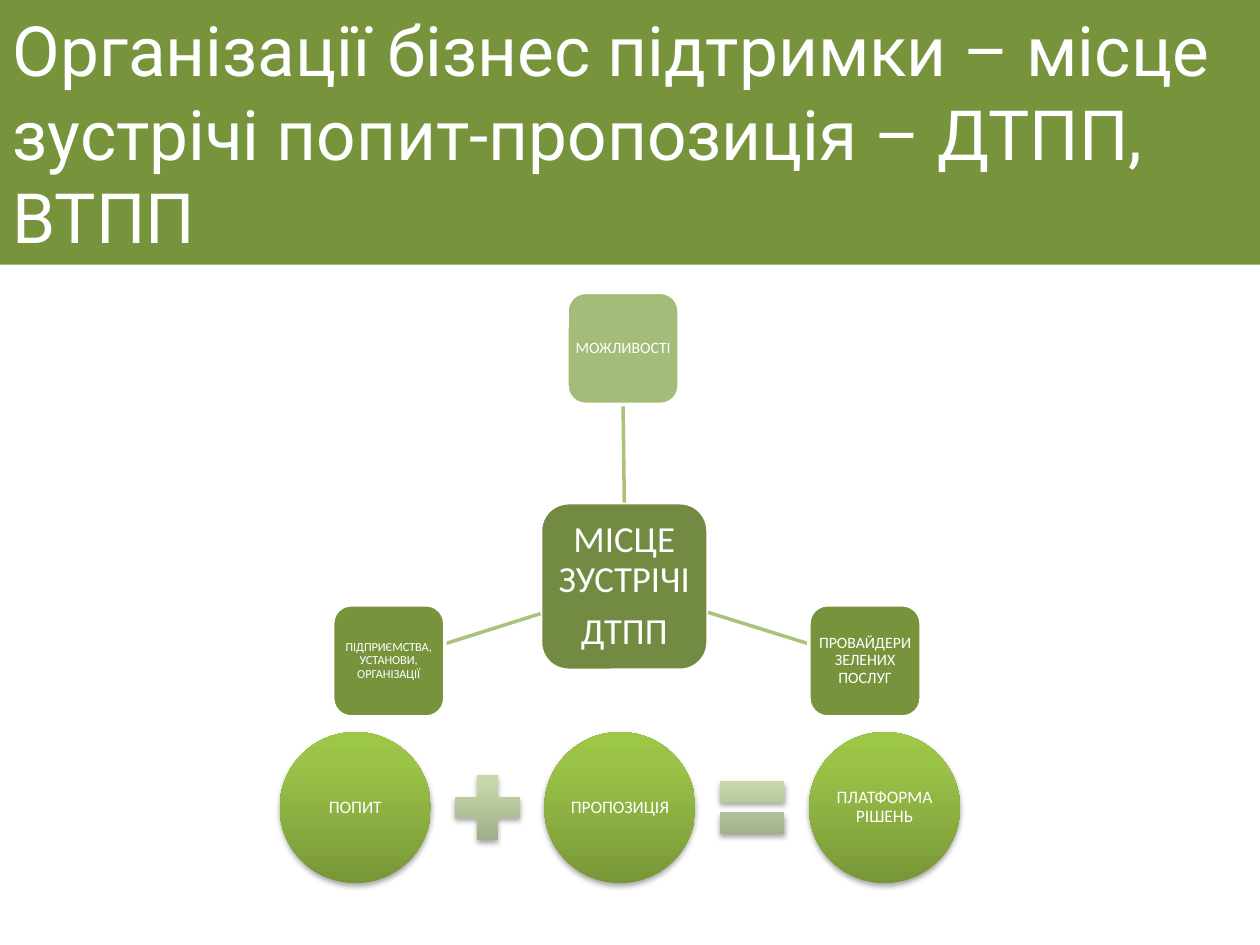
"""Build the slide on business support organisations as a meeting place of demand and supply."""
from copy import deepcopy

from lxml import etree
from pptx import Presentation
from pptx.dml.color import RGBColor
from pptx.enum import shapes, text
from pptx.oxml.ns import qn
from pptx.util import Inches, Pt

WHITE = RGBColor(0xFF, 0xFF, 0xFF)
GREEN = RGBColor(0x77, 0x93, 0x3C)
DARK = RGBColor(0x73, 0x8A, 0x42)
LIGHT = RGBColor(0xA4, 0xBC, 0x79)
LINK = RGBColor(0xA9, 0xC3, 0x79)
BRIGHT = (RGBColor(0x77, 0x97, 0x37), RGBColor(0x9B, 0xC3, 0x48), RGBColor(0x9D, 0xC7, 0x46))
PALE = (RGBColor(0x98, 0xA6, 0x83), RGBColor(0xC6, 0xD8, 0xAA), RGBColor(0xC7, 0xDA, 0xAA))


def write(sp, content, size, font="Calibri", align=text.PP_ALIGN.CENTER, inset=0.02, spacing=0.9):
    tf = sp.text_frame
    tf.text = content
    tf.word_wrap = True
    tf.auto_size = text.MSO_AUTO_SIZE.NONE
    tf.vertical_anchor = text.MSO_ANCHOR.MIDDLE
    tf.margin_left = tf.margin_right = Inches(inset)
    tf.margin_top = tf.margin_bottom = Inches(inset)
    for p in tf.paragraphs:
        p.alignment = align
        p.line_spacing = spacing
        p.space_after = Pt(round(size * 0.35))
        f = p.runs[0].font
        f.name, f.size, f.color.rgb = font, Pt(size), WHITE


def add_glossy(s, kind, left, top, size, colors):
    sp = s.shapes.add_shape(kind, Inches(left), Inches(top), Inches(size), Inches(size))
    sp.line.fill.background()
    sp.fill.gradient()
    sp.fill.gradient_angle = 90
    gs = sp._element.spPr.find(".//" + qn("a:gs"))
    gs.addnext(deepcopy(gs))
    for stop, position, color in zip(sp.fill.gradient_stops, (0, 0.8, 1), colors):
        stop.position = position
        stop.color.rgb = color
    sp.shadow.inherit = False
    effects = sp._element.spPr.find(qn("a:effectLst"))
    shadow = etree.SubElement(effects, qn("a:outerShdw"), blurRad="40000", dist="23000",
                              dir="5400000", rotWithShape="0")
    black = etree.SubElement(shadow, qn("a:srgbClr"), val="000000")
    etree.SubElement(black, qn("a:alpha"), val="35000")
    return sp


prs = Presentation()
prs.slide_width, prs.slide_height = Inches(10), Inches(7.5)
s = prs.slides.add_slide(prs.slide_layouts[5])

title = s.shapes.title
title.left, title.top, title.width, title.height = 0, 0, Inches(10), Inches(2.1)
title.fill.solid()
title.fill.fore_color.rgb = GREEN
write(title, "Організації бізнес підтримки – місце зустрічі попит-пропозиція – ДТПП, ВТПП",
      39.6, font="Roboto", align=text.PP_ALIGN.LEFT, inset=0.1, spacing=1.0)

boxes = []
for content, left, top, size, color, points, link in [
    ("МІСЦЕ ЗУСТРІЧІ\nДТПП", 4.29, 3.99, 1.33, DARK, 21, None),
    ("МОЖЛИВОСТІ", 4.5, 2.32, 0.89, LIGHT, 9, (4.95, 3.99, 4.95, 3.21)),
    ("ПРОВАЙДЕРИ ЗЕЛЕНИХ ПОСЛУГ", 6.42, 4.8, 0.89, GREEN, 9, (5.62, 4.86, 6.42, 5.11)),
    ("ПІДПРИЄМСТВА, УСТАНОВИ, ОРГАНІЗАЦІЇ", 2.64, 4.8, 0.89, GREEN, 7, (4.29, 4.87, 3.53, 5.11)),
]:
    if link:
        line = s.shapes.add_connector(shapes.MSO_CONNECTOR.STRAIGHT, *map(Inches, link))
        line.line.color.rgb = LINK
        line.line.width = Pt(2)
        etree.SubElement(line._element.spPr, qn("a:effectLst"))
        if len(boxes) == 1:
            vertical = line
    sp = s.shapes.add_shape(shapes.MSO_SHAPE.ROUNDED_RECTANGLE,
                            Inches(left), Inches(top), Inches(size), Inches(size))
    sp.fill.solid()
    sp.fill.fore_color.rgb = color
    sp.line.color.rgb = WHITE
    sp.line.width = Pt(2)
    sp.shadow.inherit = False
    write(sp, content, points, inset=0.06 if link is None else 0.02)
    boxes.append(sp)
vertical.begin_connect(boxes[0], 0)
vertical.end_connect(boxes[1], 2)

signs = [shapes.MSO_SHAPE.MATH_PLUS, shapes.MSO_SHAPE.MATH_EQUAL]
for i, content in enumerate(["ПОПИТ", "ПРОПОЗИЦІЯ", "ПЛАТФОРМА РІШЕНЬ"]):
    left = 2.22 + 2.1 * i
    circle = add_glossy(s, shapes.MSO_SHAPE.OVAL, left, 5.81, 1.2, BRIGHT)
    write(circle, content, 10, inset=0.01)
    if i < len(signs):
        add_glossy(s, signs[i], left + 1.3, 6.06, 0.7, PALE)

prs.save("out.pptx")
